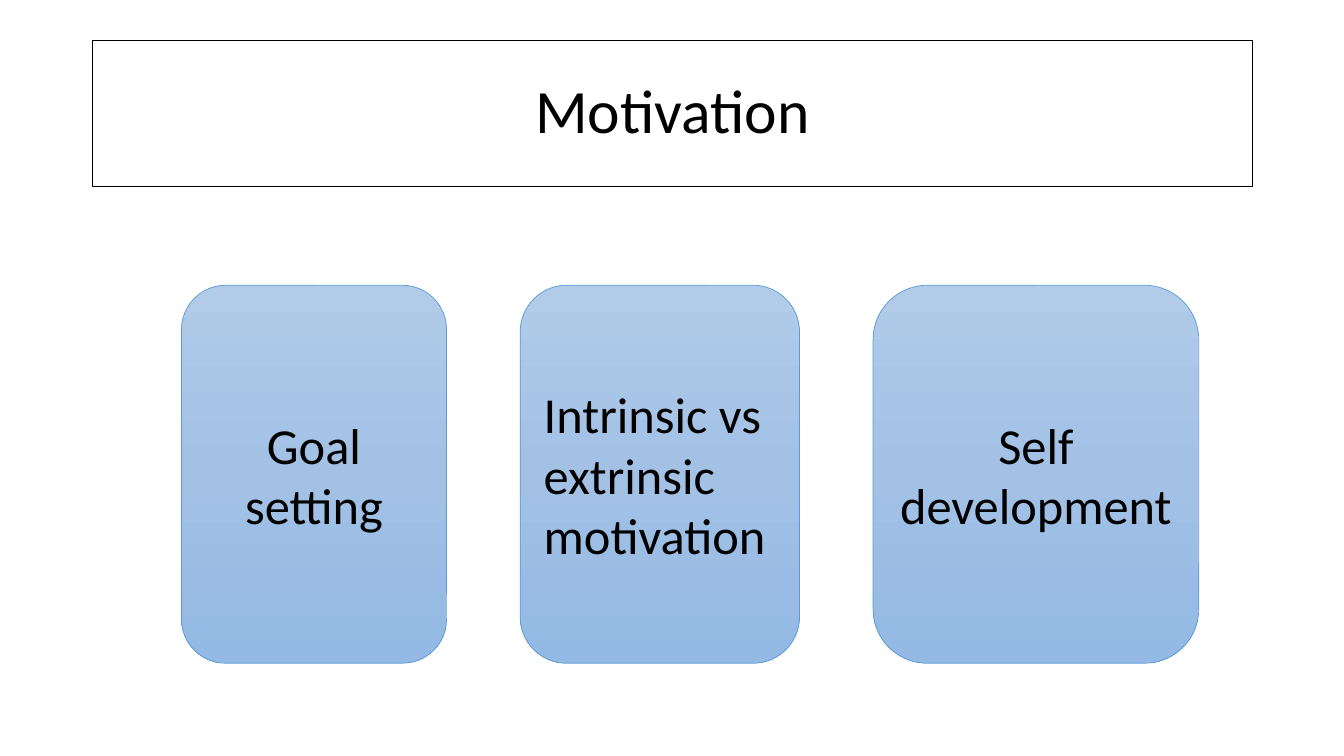
from copy import deepcopy
from dataclasses import dataclass

from pptx import Presentation
from pptx.dml.color import RGBColor
from pptx.enum.shapes import MSO_SHAPE
from pptx.enum.text import MSO_ANCHOR, PP_ALIGN
from pptx.oxml.ns import qn
from pptx.util import Inches, Pt

ROUNDED = MSO_SHAPE.ROUNDED_RECTANGLE
MIDDLE = MSO_ANCHOR.MIDDLE
LEFT, CENTER = PP_ALIGN.LEFT, PP_ALIGN.CENTER
TITLE_ONLY = 5


@dataclass(frozen=True)
class Theme:
    font: str = "Calibri"
    title_size: float = 44
    card_size: float = 36
    text: RGBColor = RGBColor(0, 0, 0)
    paper: RGBColor = RGBColor(255, 255, 255)
    card_line: RGBColor = RGBColor.from_string("5B9BD5")
    card_stops: tuple[str, ...] = ("B1CBE9", "A3C1E5", "93B9E4")


@dataclass(frozen=True)
class Card:
    text: str
    width: float
    align: PP_ALIGN = CENTER


THEME = Theme()
CARDS = (
    Card("Goal setting", 2.63),
    Card("Intrinsic vs extrinsic motivation", 2.77, LEFT),
    Card("Self\ndevelopment", 3.23),
)
CARDS_LEFT, CARDS_TOP, CARD_HEIGHT, CARD_GAP = 1.8, 2.83, 3.75, 0.73


def set_text(s, text: str, size: float, align: PP_ALIGN) -> None:
    tf = s.text_frame
    tf.text = text
    tf.word_wrap = True
    tf.vertical_anchor = MIDDLE
    for p in tf.paragraphs:
        p.alignment = align
        for r in p.runs:
            r.font.name = THEME.font
            r.font.size = Pt(size)
            r.font.color.rgb = THEME.text


def add_title(slide, text: str) -> None:
    s = slide.shapes.title
    s.left, s.top = Inches(0.92), Inches(0.4)
    s.width, s.height = Inches(11.5), Inches(1.45)
    s.fill.solid()
    s.fill.fore_color.rgb = THEME.paper
    s.line.color.rgb = THEME.text
    s.line.width = Pt(1)
    set_text(s, text, THEME.title_size, CENTER)
    s.text_frame.paragraphs[0].line_spacing = 0.9


def fill_gradient(s) -> None:
    s.fill.gradient()
    s.fill.gradient_angle = 270
    first = s._element.spPr.find(".//" + qn("a:gs"))
    first.addnext(deepcopy(first))
    last = len(THEME.card_stops) - 1
    for i, (stop, color) in enumerate(zip(s.fill.gradient_stops, THEME.card_stops)):
        stop.position = i / last
        stop.color.rgb = RGBColor.from_string(color)


def add_card(slide, card: Card, left: float) -> None:
    s = slide.shapes.add_shape(
        ROUNDED, Inches(left), Inches(CARDS_TOP), Inches(card.width), Inches(CARD_HEIGHT)
    )
    s.shadow.inherit = False
    fill_gradient(s)
    s.line.color.rgb = THEME.card_line
    s.line.width = Pt(0.5)
    set_text(s, card.text, THEME.card_size, card.align)


def main() -> None:
    prs = Presentation()
    prs.slide_width, prs.slide_height = Inches(13.33), Inches(7.5)
    slide = prs.slides.add_slide(prs.slide_layouts[TITLE_ONLY])
    add_title(slide, "Motivation")
    left = CARDS_LEFT
    for card in CARDS:
        add_card(slide, card, left)
        left += card.width + CARD_GAP
    prs.save("out.pptx")


if __name__ == "__main__":
    main()
